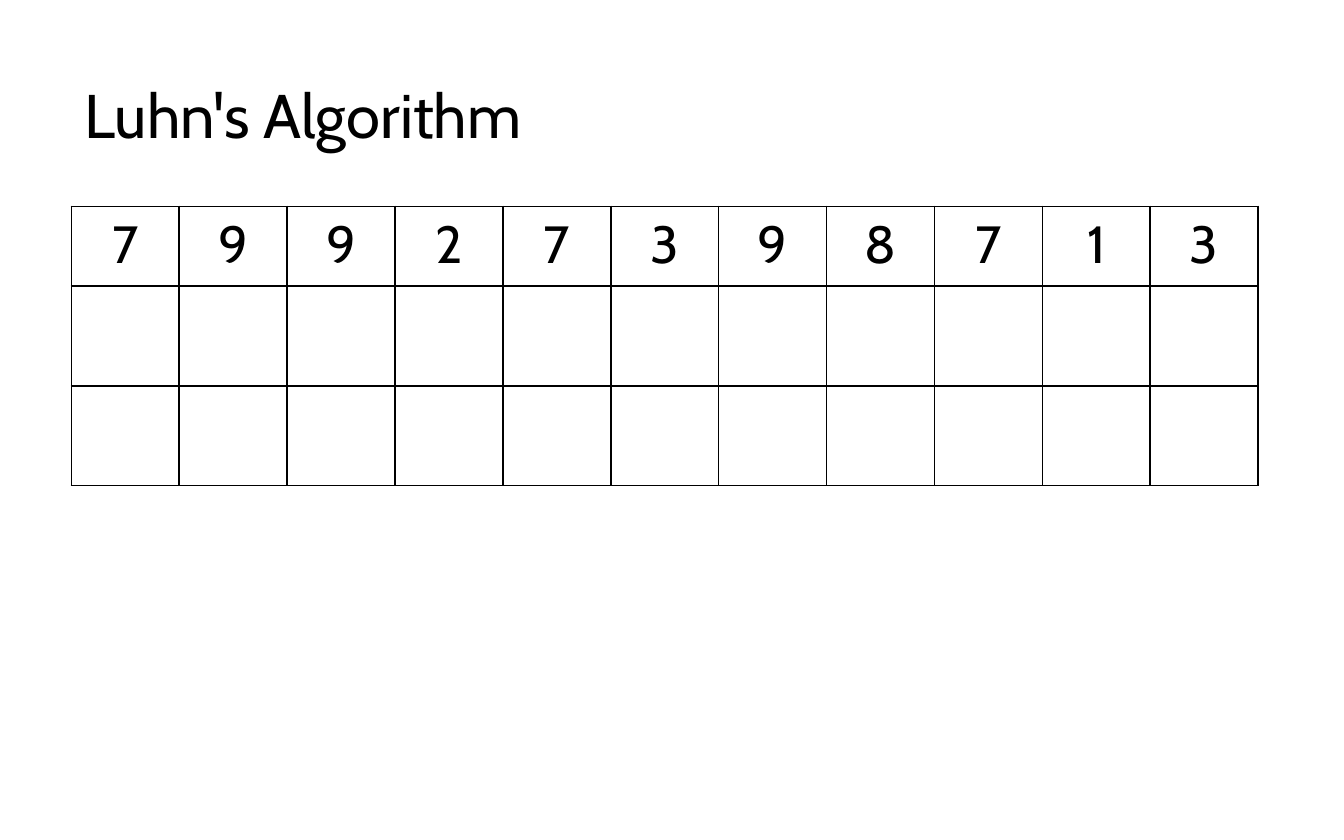
import lxml.etree
import pptx
import pptx.dml.color
import pptx.enum.text
import pptx.oxml.ns
import pptx.util

Pt = pptx.util.Pt
qn = pptx.oxml.ns.qn
Anchor = pptx.enum.text.MSO_ANCHOR
Align = pptx.enum.text.PP_ALIGN
BLACK = pptx.dml.color.RGBColor(0, 0, 0)
WHITE = pptx.dml.color.RGBColor(255, 255, 255)
DIGITS = "79927398713"


class Deck:
    face = "Cabin"
    ink = BLACK

    def __init__(self, wide, high):
        self.file = pptx.Presentation()
        self.file.slide_width = Pt(wide)
        self.file.slide_height = Pt(high)
        self.slide = self.file.slides.add_slide(self.file.slide_layouts[6])
        fill = self.slide.background.fill
        fill.solid()
        fill.fore_color.rgb = WHITE

    def label(self, para, text, size, form):
        para.text = text
        for key, value in form.items():
            setattr(para, key, value)
        for key, value in {"name": self.face, "size": Pt(size)}.items():
            setattr(para.font, key, value)
        para.font.color.rgb = self.ink

    def title(self, text, left, top, wide, high, size):
        box = self.slide.shapes.add_textbox(Pt(left), Pt(top), Pt(wide), Pt(high))
        frame = box.text_frame
        form = {"word_wrap": True, "vertical_anchor": Anchor.MIDDLE}
        for key, value in form.items():
            setattr(frame, key, value)
        self.label(frame.paragraphs[0], text, size, {"line_spacing": 0.9})

    def border(self, cell, width):
        props = cell._tc.get_or_add_tcPr()
        for side in ("lnL", "lnR", "lnT", "lnB"):
            line = lxml.etree.SubElement(props, qn("a:" + side), w=str(Pt(width)))
            fill = lxml.etree.SubElement(line, qn("a:solidFill"))
            lxml.etree.SubElement(fill, qn("a:srgbClr"), val=str(self.ink))

    def table(self, digits, left, top, wide, rows, size):
        count = len(digits)
        frame = self.slide.shapes.add_table(
            len(rows), count, Pt(left), Pt(top), Pt(wide), Pt(sum(rows)))
        grid = frame.table
        for key in ("first_row", "horz_banding"):
            setattr(grid, key, False)
        for col in grid.columns:
            col.width = Pt(wide / count)
        for row, high in zip(grid.rows, rows):
            row.height = Pt(high)
        for cell in grid.iter_cells():
            self.border(cell, 1)
            cell.fill.background()
        for col, digit in enumerate(digits):
            para = grid.cell(0, col).text_frame.paragraphs[0]
            self.label(para, digit, size, {"alignment": Align.CENTER})


def main():
    deck = Deck(720, 450)
    deck.title("Luhn's Algorithm", 38.2, 36.7, 555, 54, 33)
    deck.table(DIGITS, 38.2, 110.6, 635.8, (42.6, 53.5, 53.5), 28)
    deck.file.save("out.pptx")


if __name__ == "__main__":
    main()
